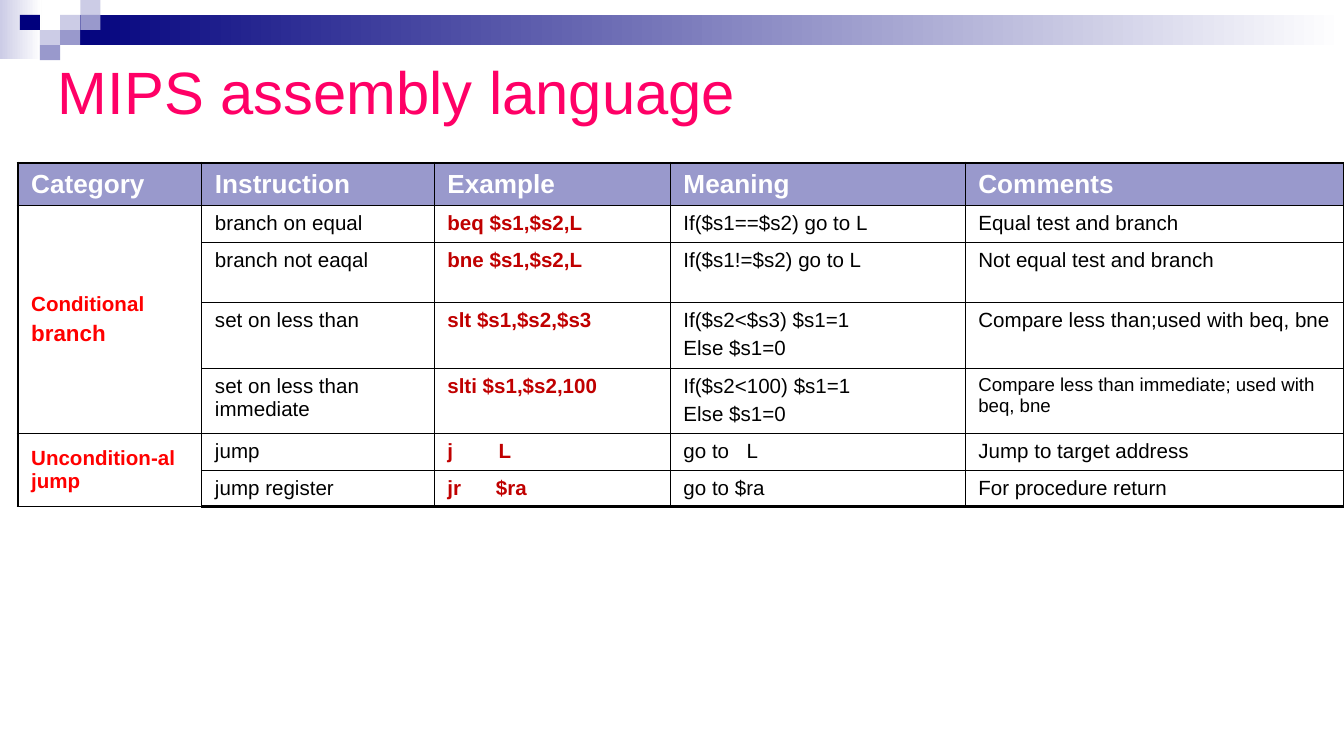
from lxml.etree import SubElement
from pptx import Presentation
from pptx.dml.color import RGBColor
from pptx.enum.shapes import MSO_SHAPE
from pptx.enum.text import MSO_ANCHOR, MSO_AUTO_SIZE, PP_ALIGN
from pptx.oxml.ns import qn
from pptx.util import Pt

FONT = "Arial"
NAVY = RGBColor(0x00, 0x00, 0x7D)
LILAC = RGBColor(0x99, 0x99, 0xCC)
PALE = RGBColor(0xCC, 0xCC, 0xE6)
PINK = RGBColor(0xFF, 0x00, 0x66)
RED = RGBColor(0xFF, 0x00, 0x00)
DARK_RED = RGBColor(0xC0, 0x00, 0x00)
WHITE = RGBColor(0xFF, 0xFF, 0xFF)
BLACK = RGBColor(0x00, 0x00, 0x00)

TITLE = "MIPS assembly language"
HEADERS = ["Category", "Instruction", "Example", "Meaning", "Comments"]
# Lines within a cell are split by a newline
INSTRUCTIONS = [
    ("branch on equal", "beq $s1,$s2,L", "If($s1==$s2) go to L", "Equal test and branch"),
    ("branch not eaqal", "bne $s1,$s2,L", "If($s1!=$s2) go to L", "Not equal test and branch"),
    ("set on less than", "slt $s1,$s2,$s3", "If($s2<$s3) $s1=1\nElse $s1=0",
     "Compare less than;used with beq, bne"),
    ("set on less than immediate", "slti $s1,$s2,100", "If($s2<100) $s1=1\nElse $s1=0",
     "Compare less than immediate; used with beq, bne"),
    ("jump", "j\tL", "go to\tL", "Jump to target address"),
    ("jump register", "jr\t$ra", "go to $ra", "For procedure return"),
]
# First row, last row, lines with their sizes
CATEGORIES = [
    (1, 4, [("Conditional", 11), ("branch", 12)]),
    (5, 6, [("Uncondition-al jump", 11)]),
]
TAB_STOPS = {"j\tL": 27.5, "go to\tL": 33.75, "jr\t$ra": 26}
SMALL_COMMENT_ROW = 4

COLUMN_WIDTHS = [98.5, 124.5, 126.5, 158, 203]
ROW_HEIGHTS = [22.5, 19.5, 32.4, 35.3, 35, 19.5, 19.5]
TABLE_LEFT, TABLE_TOP = 9.5, 87.2
THIN, THICK = 0.45, 1.47

# Mosaic squares: column, row, colour
MOSAIC = [(2, 1, PALE), (3, 0, PALE), (3, 1, LILAC), (1, 2, PALE),
          (0, 1, NAVY), (2, 2, LILAC), (1, 3, LILAC)]
MOSAIC_LEFT, TILE_WIDTH, TILE_HEIGHT = 10.6, 10.8, 8.05
SLIDE_WIDTH, SLIDE_HEIGHT = 720, 405


def add_block(slide, left, top, width, height, *colours):
    """Borderless rectangle; two colours make a left-to-right gradient."""
    block = slide.shapes.add_shape(MSO_SHAPE.RECTANGLE, Pt(left), Pt(top), Pt(width), Pt(height))
    block.shadow.inherit = False
    block.line.fill.background()
    if len(colours) == 1:
        block.fill.solid()
        block.fill.fore_color.rgb = colours[0]
    else:
        block.fill.gradient()
        block.fill.gradient_angle = 0
        for stop, colour in zip(block.fill.gradient_stops, colours):
            stop.color.rgb = colour


def write_cell(cell, lines, colour, bold=False):
    """Fill a cell with (text, size) lines."""
    frame = cell.text_frame
    for number, (text, size) in enumerate(lines):
        paragraph = frame.add_paragraph() if number else frame.paragraphs[0]
        if number:
            paragraph.space_before = Pt(size / 4)
        if text in TAB_STOPS:
            stops = SubElement(paragraph._p.get_or_add_pPr(), qn("a:tabLst"))
            SubElement(stops, qn("a:tab"), pos=str(Pt(TAB_STOPS[text])), algn="l")
        run = paragraph.add_run()
        run.text = text
        run.font.name, run.font.size, run.font.bold = FONT, Pt(size), bold
        run.font.color.rgb = colour


def set_borders(cell, widths):
    """Draw black borders, widths in the order left, right, top, bottom."""
    properties = cell._tc.get_or_add_tcPr()
    for index, (side, width) in enumerate(zip("LRTB", widths)):
        line = SubElement(properties, qn(f"a:ln{side}"), w=str(Pt(width)))
        colour = SubElement(SubElement(line, qn("a:solidFill")), qn("a:srgbClr"))
        colour.set("val", str(BLACK))
        properties.insert(index, line)


def add_instruction_table(slide):
    rows, columns = len(ROW_HEIGHTS), len(COLUMN_WIDTHS)
    table = slide.shapes.add_table(rows, columns, Pt(TABLE_LEFT), Pt(TABLE_TOP),
                                   Pt(sum(COLUMN_WIDTHS)), Pt(sum(ROW_HEIGHTS))).table
    table.first_row = table.horz_banding = False
    for column, width in zip(table.columns, COLUMN_WIDTHS):
        column.width = Pt(width)
    for row, height in zip(table.rows, ROW_HEIGHTS):
        row.height = Pt(height)

    for r in range(rows):
        for c in range(columns):
            cell = table.cell(r, c)
            if r == 0:
                cell.fill.solid()
                cell.fill.fore_color.rgb = LILAC
            else:
                cell.fill.background()
            outer_edges = (c == 0, c == columns - 1, r == 0, r == rows - 1)
            set_borders(cell, [THICK if outer else THIN for outer in outer_edges])

    for c, header in enumerate(HEADERS):
        write_cell(table.cell(0, c), [(header, 14)], WHITE, bold=True)
    for first, last, lines in CATEGORIES:
        category = table.cell(first, 0)
        category.merge(table.cell(last, 0))
        category.vertical_anchor = MSO_ANCHOR.MIDDLE
        write_cell(category, lines, RED, bold=True)
    for r, instruction in enumerate(INSTRUCTIONS, 1):
        for c, text in enumerate(instruction, 1):
            header = HEADERS[c]
            size = 10 if header == "Comments" and r == SMALL_COMMENT_ROW else 11
            is_code = header == "Example"
            write_cell(table.cell(r, c), [(line, size) for line in text.split("\n")],
                       DARK_RED if is_code else BLACK, bold=is_code)


def add_title(slide):
    title = slide.shapes.title
    title.left, title.top, title.width, title.height = Pt(23.8), Pt(34.6), Pt(672.5), Pt(28)
    frame = title.text_frame
    frame.auto_size = MSO_AUTO_SIZE.NONE
    frame.vertical_anchor = MSO_ANCHOR.MIDDLE
    paragraph = frame.paragraphs[0]
    paragraph.alignment = PP_ALIGN.LEFT
    run = paragraph.add_run()
    run.text = TITLE
    run.font.name, run.font.size = FONT, Pt(32)
    run.font.color.rgb = PINK


def main():
    deck = Presentation()
    deck.slide_width, deck.slide_height = Pt(SLIDE_WIDTH), Pt(SLIDE_HEIGHT)
    slide = deck.slides.add_slide(deck.slide_layouts[5])
    add_block(slide, 0, 0, 22.3, 31.7, PALE, WHITE)
    band_left = MOSAIC_LEFT + 2 * TILE_WIDTH
    add_block(slide, band_left, TILE_HEIGHT, SLIDE_WIDTH - band_left, 2 * TILE_HEIGHT, NAVY, WHITE)
    for column, row, colour in MOSAIC:
        add_block(slide, MOSAIC_LEFT + column * TILE_WIDTH, row * TILE_HEIGHT,
                  TILE_WIDTH, TILE_HEIGHT, colour)
    add_title(slide)
    add_instruction_table(slide)
    deck.save("out.pptx")


if __name__ == "__main__":
    main()
